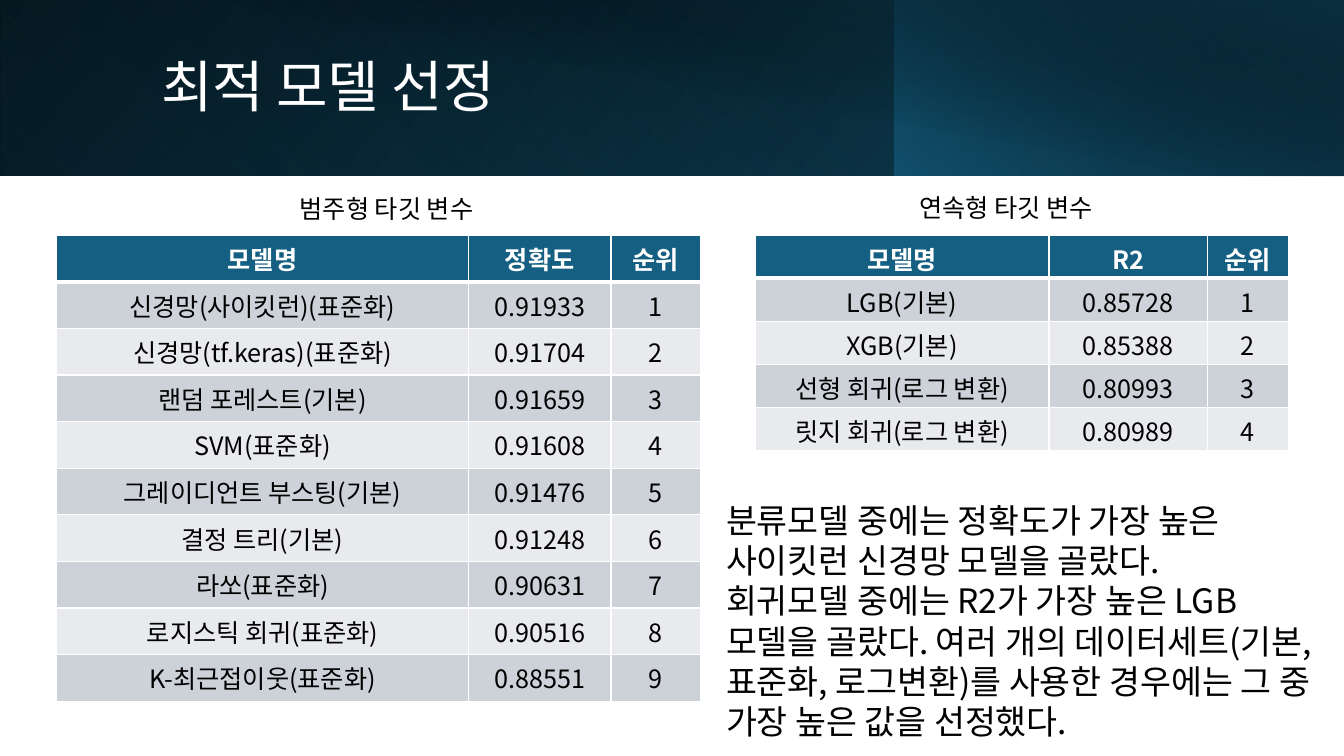
from lxml.etree import SubElement
from pptx import Presentation
from pptx.dml.color import RGBColor
from pptx.enum.shapes import MSO_SHAPE
from pptx.enum.text import MSO_ANCHOR, MSO_AUTO_SIZE, PP_ALIGN
from pptx.oxml import parse_xml
from pptx.oxml.ns import nsdecls, qn
from pptx.util import Pt

PX = 9525
FONT = "Noto Sans CJK KR"
WHITE, BLACK, TEAL = "FFFFFF", "000000", "156082"
BANDS = ["CCD2D8", "E8EAED"]

CLASSIFIERS = [
    ("모델명", "정확도", "순위"),
    ("신경망(사이킷런)(표준화)", "0.91933", "1"),
    ("신경망(tf.keras)(표준화)", "0.91704", "2"),
    ("랜덤 포레스트(기본)", "0.91659", "3"),
    ("SVM(표준화)", "0.91608", "4"),
    ("그레이디언트 부스팅(기본)", "0.91476", "5"),
    ("결정 트리(기본)", "0.91248", "6"),
    ("라쏘(표준화)", "0.90631", "7"),
    ("로지스틱 회귀(표준화)", "0.90516", "8"),
    ("K-최근접이웃(표준화)", "0.88551", "9"),
]
REGRESSORS = [
    ("모델명", "R2", "순위"),
    ("LGB(기본)", "0.85728", "1"),
    ("XGB(기본)", "0.85388", "2"),
    ("선형 회귀(로그 변환)", "0.80993", "3"),
    ("릿지 회귀(로그 변환)", "0.80989", "4"),
]
CONCLUSION = [
    "분류모델 중에는 정확도가 가장 높은 사이킷런 신경망 모델을 골랐다.",
    "회귀모델 중에는 R2가 가장 높은 LGB 모델을 골랐다. 여러 개의 데이터세트"
    "(기본, 표준화, 로그변환)를 사용한 경우에는 그 중 가장 높은 값을 선정했다.",
]


def px(*lengths):
    return [length * PX for length in lengths]


def color(code):
    return RGBColor.from_string(code)


def write(para, text, size=18, fill=BLACK, bold=False, align=PP_ALIGN.LEFT, spacing=None):
    para.alignment = align
    para.line_spacing = spacing
    span = para.add_run()
    span.text = text
    span.font.size = Pt(size)
    span.font.bold = bold
    span.font.color.rgb = color(fill)
    span.font.name = FONT
    latin = span.font._element.find(qn("a:latin"))
    latin.addnext(parse_xml(f'<a:ea {nsdecls("a")} typeface="{FONT}"/>'))


def add_text(page, box, lines, anchor=MSO_ANCHOR.TOP, grow=True, **style):
    frame = page.shapes.add_textbox(*px(*box)).text_frame
    frame.word_wrap = True
    frame.auto_size = MSO_AUTO_SIZE.SHAPE_TO_FIT_TEXT if grow else MSO_AUTO_SIZE.NONE
    frame.vertical_anchor = anchor
    for index, line in enumerate(lines):
        para = frame.add_paragraph() if index else frame.paragraphs[0]
        write(para, line, **style)


def add_gradient(page, box, stops, angle, flip=False, rotation=0):
    panel = page.shapes.add_shape(MSO_SHAPE.RECTANGLE, *px(*box))
    panel.shadow.inherit = False
    panel.line.fill.background()
    panel.rotation = rotation
    if flip:
        panel._element.spPr.find(qn("a:xfrm")).set("flipH", "1")
    panel.fill.gradient()
    panel.fill.gradient_angle = 360 - angle
    for stop, (position, code, _) in zip(panel.fill.gradient_stops, stops):
        stop.position = position / 100
        stop.color.rgb = color(code)
    tints = panel._element.spPr.findall(".//" + qn("a:srgbClr"))
    for tint, (_, _, opacity) in zip(tints, stops):
        if opacity < 100:
            SubElement(tint, qn("a:alpha")).set("val", str(opacity * 1000))


def add_header(page, left, top, width, height):
    split = 852
    add_gradient(page, (left, top, width, height),
                 [(0, BLACK, 100), (100, "104862", 100)], 140, flip=True)
    add_gradient(page, (left, top, split, height),
                 [(20, TEAL, 0), (100, "0B3041", 55)], 230, flip=True, rotation=180)
    add_gradient(page, (left + split, top, width - split, height),
                 [(0, TEAL, 66), (100, BLACK, 30)], 220, flip=True)
    add_gradient(page, (left + 48, top, width - 48, height + 1),
                 [(50, BLACK, 0), (99, "0B3041", 52)], 280)
    add_text(page, (left + 144, top + 31, 1039, 108), ["최적 모델 선정"],
             anchor=MSO_ANCHOR.MIDDLE, grow=False, size=40, fill=WHITE, spacing=0.9)


def add_borders(cell, top, bottom):
    properties = cell._tc.get_or_add_tcPr()
    weights = {"lnL": 1, "lnR": 1, "lnT": top, "lnB": bottom}
    for index, (side, weight) in enumerate(weights.items()):
        properties.insert(index, parse_xml(
            f'<a:{side} {nsdecls("a")} w="{Pt(weight)}"><a:solidFill>'
            f'<a:srgbClr val="{WHITE}"/></a:solidFill></a:{side}>'))


def add_ranking(page, left, top, widths, rows, caption, caption_offset, caption_top):
    height = 41
    frame = page.shapes.add_table(len(rows), len(widths),
                                  *px(left, top, sum(widths), height * len(rows)))
    table = frame.table
    for column, width in zip(table.columns, widths):
        column.width = width * PX
    for index, row in enumerate(rows):
        table.rows[index].height = height * PX
        heading = index == 0
        for position, text in enumerate(row):
            cell = table.cell(index, position)
            cell.fill.solid()
            cell.fill.fore_color.rgb = color(TEAL if heading else BANDS[(index - 1) % 2])
            add_borders(cell, 3 if index == 1 else 1, 3 if heading else 1)
            write(cell.text_frame.paragraphs[0], text, bold=heading,
                  fill=WHITE if heading else BLACK, align=PP_ALIGN.CENTER)
    add_text(page, (left + caption_offset, caption_top, 444, 38), [caption], spacing=Pt(21.6))


def main():
    deck = Presentation()
    deck.slide_width, deck.slide_height = px(1280, 720)
    page = deck.slides.add_slide(deck.slide_layouts[6])
    add_header(page, 0, 0, 1280, 167)
    add_ranking(page, 54, 224, [392, 136, 85], CLASSIFIERS, "범주형 타깃 변수", 222, 179)
    add_ranking(page, 719, 224, [280, 151, 77], REGRESSORS, "연속형 타깃 변수", 147, 178)
    add_text(page, (682, 471, 582, 242), CONCLUSION, size=24, spacing=Pt(28.8))
    deck.save("out.pptx")


if __name__ == "__main__":
    main()
